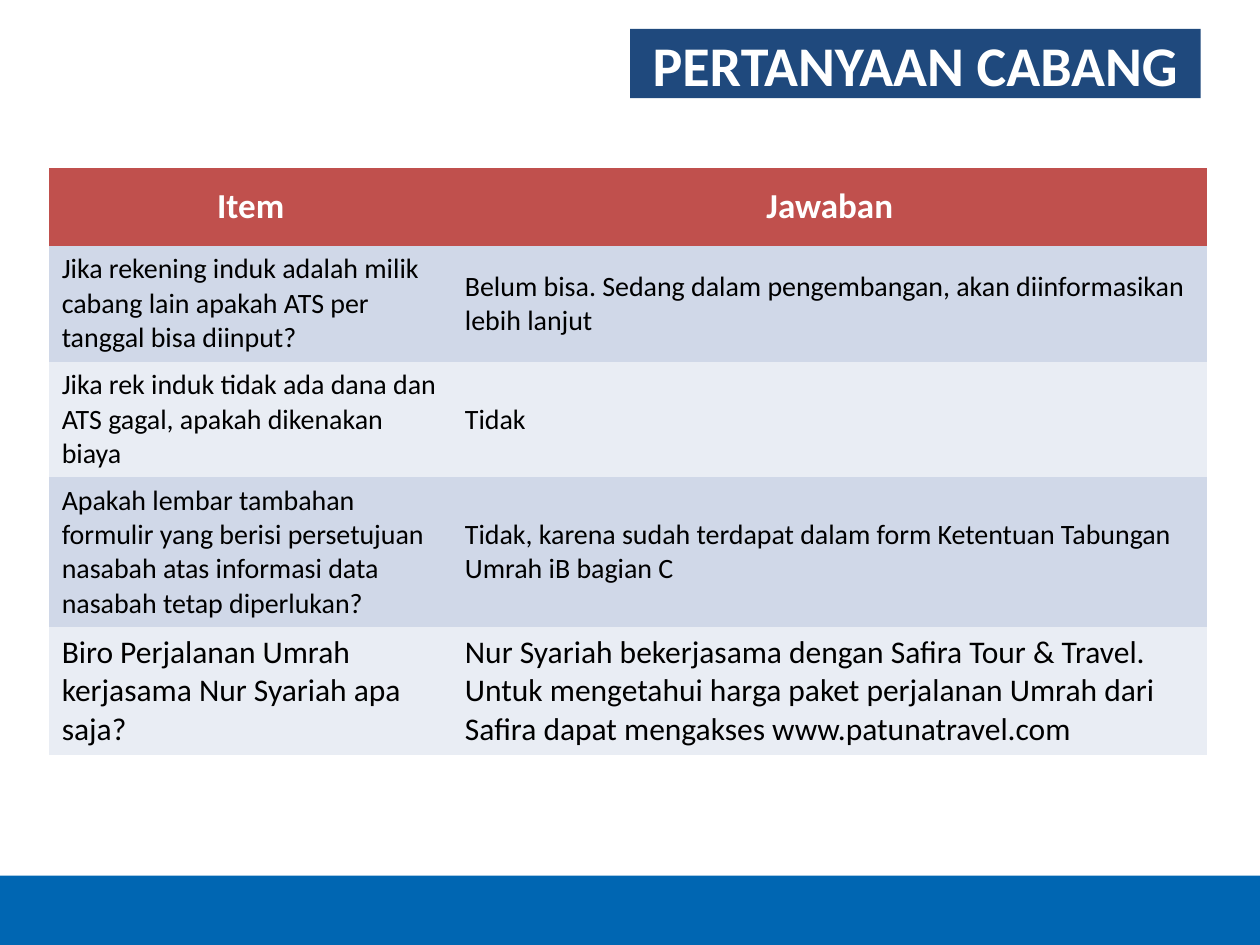
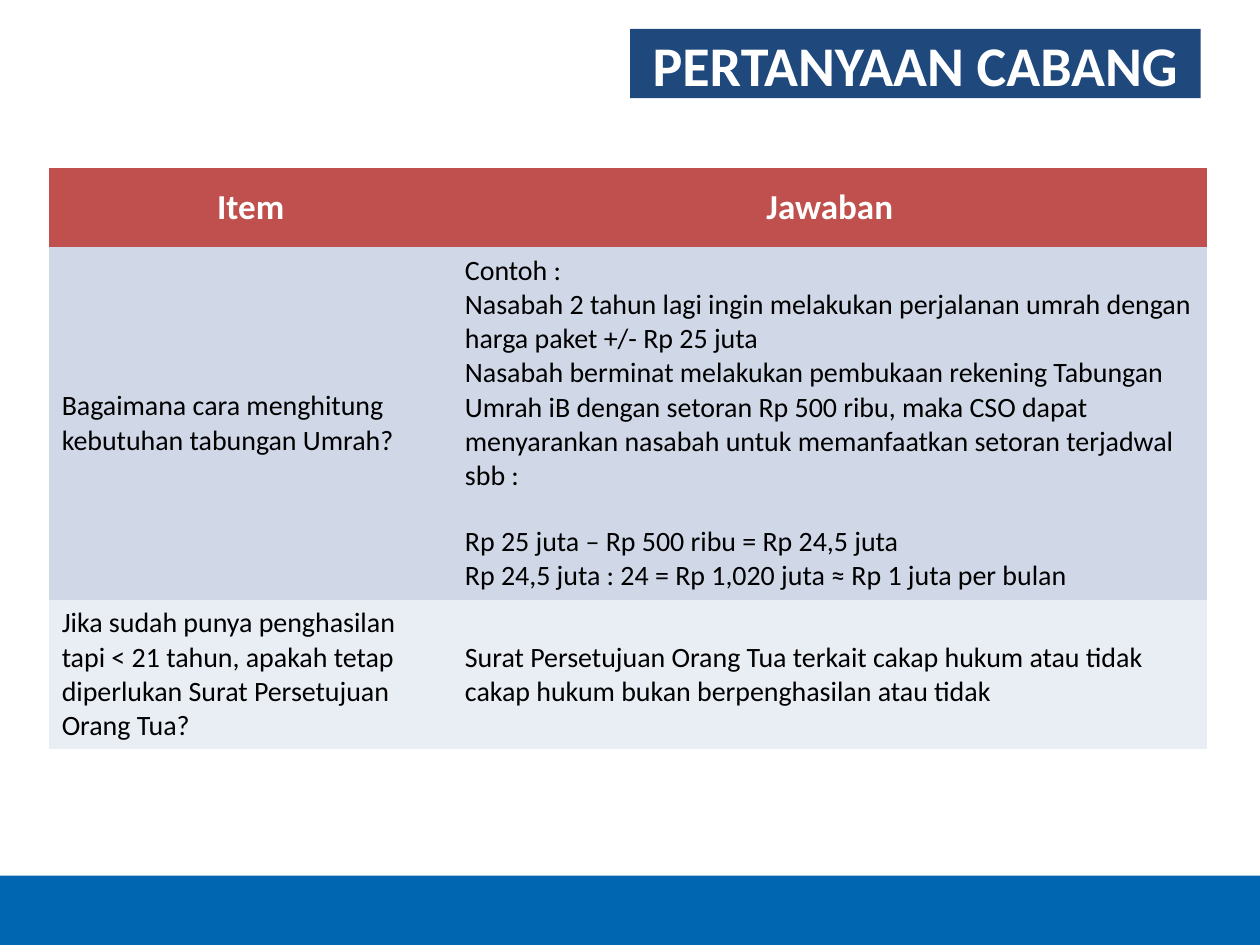
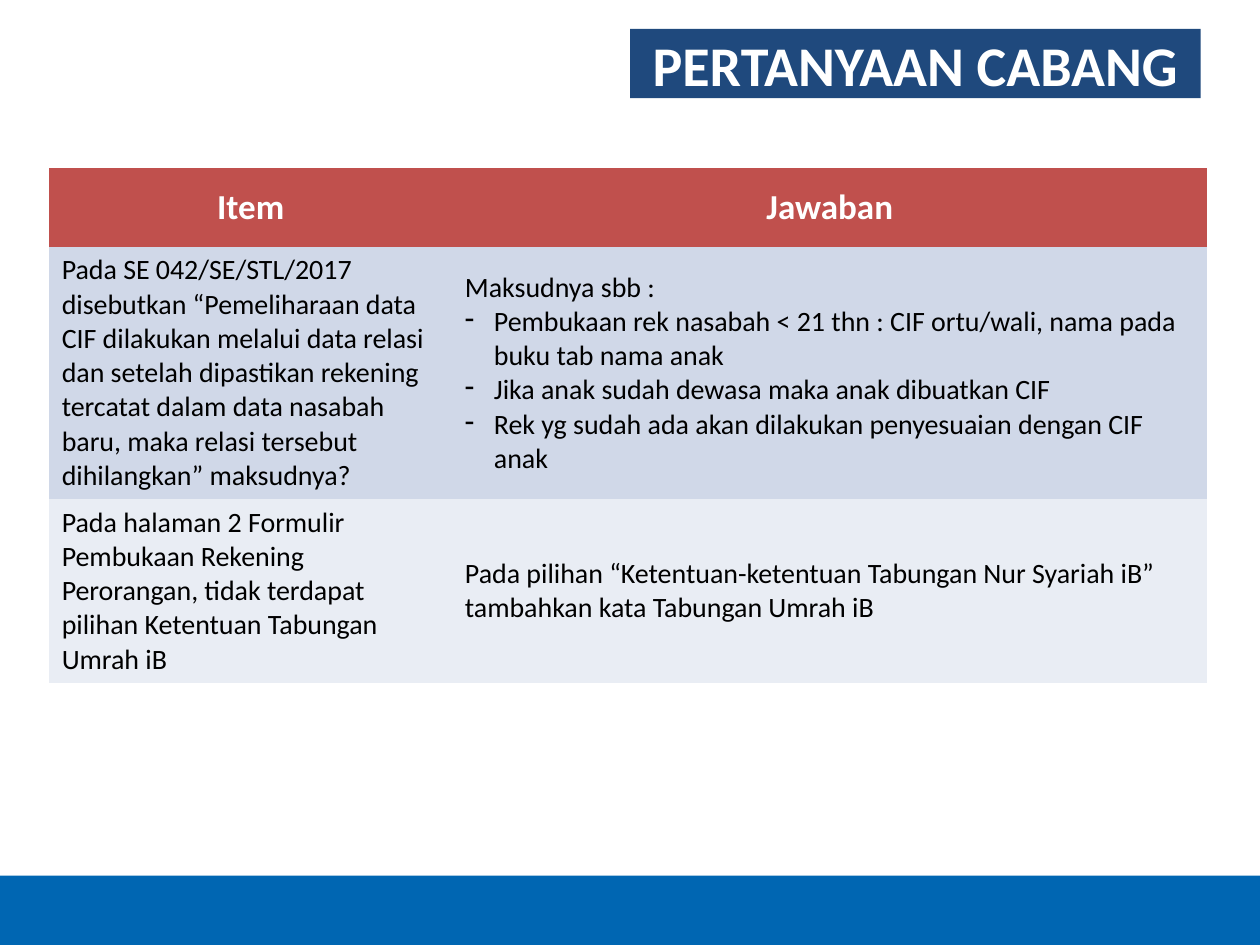
import dataclasses

import pptx
import pptx.dml.color
import pptx.enum.shapes
import pptx.enum.text
import pptx.oxml
import pptx.oxml.ns
import pptx.util
from lxml import etree

Inches = pptx.util.Inches
ALIGN = pptx.enum.text.PP_ALIGN
MIDDLE = pptx.enum.text.MSO_ANCHOR.MIDDLE


@dataclasses.dataclass(frozen=True)
class Theme:
    font: str = "Calibri"
    white: str = "FFFFFF"
    black: str = "000000"
    navy: str = "1F497D"
    blue: str = "0066B2"
    red: str = "C0504D"
    bands: tuple = ("D0D8E8", "E9EDF4")
    title: int = 32
    head: int = 20
    large: int = 18
    body: int = 16


THEME = Theme()
WIDTH, HEIGHT = 10, 7.5
FOOT = 0.55
COLS = (3.2, 5.99)
HEADS = ("Item", "Jawaban")
PLAIN = "{2D5ABB26-0587-4C30-8999-92F81FD0307C}"


@dataclasses.dataclass(frozen=True)
class Para:
    text: str
    dash: bool = False
    gap: int = 0


@dataclasses.dataclass(frozen=True)
class Row:
    """One question; the answer is a string or a list of Para."""
    height: float
    item: str
    answer: object
    size: int = THEME.body


PAGES = [
    (0.62, [
        Row(0.92, "Jika rekening induk adalah milik cabang lain apakah ATS per "
            "tanggal bisa diinput?",
            "Belum bisa. Sedang dalam pengembangan, akan diinformasikan "
            "lebih lanjut"),
        Row(0.92, "Jika rek induk tidak ada dana dan ATS gagal, apakah "
            "dikenakan biaya", "Tidak"),
        Row(1.18, "Apakah lembar tambahan formulir yang berisi persetujuan "
            "nasabah atas informasi data nasabah tetap diperlukan?",
            "Tidak, karena sudah terdapat dalam form Ketentuan Tabungan "
            "Umrah iB bagian C"),
        Row(1, "Biro Perjalanan Umrah kerjasama Nur Syariah apa saja?",
            "Nur Syariah bekerjasama dengan Safira Tour & Travel. Untuk "
            "mengetahui harga paket perjalanan Umrah dari Safira dapat "
            "mengakses www.patunatravel.com", THEME.large),
    ]),
    (0.63, [
        Row(2.8, "Bagaimana cara menghitung kebutuhan tabungan Umrah?", [
            Para("Contoh :"),
            Para("Nasabah 2 tahun lagi ingin melakukan perjalanan umrah "
                 "dengan harga paket +/- Rp 25 juta"),
            Para("Nasabah berminat melakukan pembukaan rekening Tabungan "
                 "Umrah iB dengan setoran Rp 500 ribu, maka CSO dapat "
                 "menyarankan nasabah untuk memanfaatkan setoran terjadwal "
                 "sbb :"),
            Para("Rp 25 juta – Rp 500 ribu = Rp 24,5 juta", gap=18),
            Para("Rp 24,5 juta : 24 = Rp 1,020 juta ≈ Rp 1 juta per bulan"),
        ]),
        Row(1.18, "Jika sudah punya penghasilan tapi < 21 tahun, apakah tetap "
            "diperlukan Surat Persetujuan Orang Tua?",
            "Surat Persetujuan Orang Tua terkait cakap hukum atau tidak "
            "cakap hukum bukan berpenghasilan atau tidak"),
    ]),
    (0.63, [
        Row(2, "Pada SE 042/SE/STL/2017 disebutkan “Pemeliharaan data CIF "
            "dilakukan melalui data relasi dan setelah dipastikan rekening "
            "tercatat dalam data nasabah baru, maka relasi tersebut "
            "dihilangkan” maksudnya?", [
                Para("Maksudnya sbb :"),
                Para("Pembukaan rek nasabah < 21 thn : CIF ortu/wali, nama "
                     "pada buku tab nama anak", dash=True),
                Para("Jika anak sudah dewasa maka anak dibuatkan CIF",
                     dash=True),
                Para("Rek yg sudah ada akan dilakukan penyesuaian dengan "
                     "CIF anak", dash=True),
            ]),
        Row(1.46, "Pada halaman 2 Formulir Pembukaan Rekening Perorangan, "
            "tidak terdapat pilihan Ketentuan Tabungan Umrah iB",
            "Pada pilihan “Ketentuan-ketentuan Tabungan Nur Syariah iB” "
            "tambahkan kata Tabungan Umrah iB"),
    ]),
]


def paint(fill, color):
    fill.solid()
    fill.fore_color.rgb = pptx.dml.color.RGBColor.from_string(color)


def write(para, text, size, color, bold=False):
    run = para.add_run()
    run.text = text
    font = run.font
    font.name, font.size, font.bold = THEME.font, pptx.util.Pt(size), bold
    font.color.rgb = pptx.dml.color.RGBColor.from_string(color)


def add_dash(para):
    props = para._p.get_or_add_pPr()
    props.set("marL", str(Inches(0.23)))
    props.set("indent", str(-Inches(0.23)))
    mark = etree.SubElement(props, pptx.oxml.ns.qn("a:buChar"))
    mark.set("char", "-")


def add_title(slide, text):
    """Turn the title placeholder into a rounded label."""
    title = slide.shapes.title
    title.left, title.top = Inches(5), Inches(0.23)
    title.width, title.height = Inches(4.53), Inches(0.55)
    shape = etree.SubElement(title._element.spPr, pptx.oxml.ns.qn("a:prstGeom"))
    shape.set("prst", "roundRect")
    paint(title.fill, THEME.navy)
    frame = title.text_frame
    frame.auto_size = pptx.enum.text.MSO_AUTO_SIZE.NONE
    frame.word_wrap = True
    frame.vertical_anchor = MIDDLE
    para = frame.paragraphs[0]
    para.alignment = ALIGN.CENTER
    write(para, text, THEME.title, THEME.white, True)


def add_foot(slide):
    band = slide.shapes.add_shape(
        pptx.enum.shapes.MSO_SHAPE.RECTANGLE, 0, Inches(HEIGHT - FOOT),
        Inches(WIDTH), Inches(FOOT))
    band.shadow.inherit = False
    paint(band.fill, THEME.blue)
    band.line.fill.background()


def fill_cell(cell, content, size, fill, color=THEME.black, head=False):
    paint(cell.fill, fill)
    cell.vertical_anchor = MIDDLE
    paras = [Para(content)] if isinstance(content, str) else content
    frame = cell.text_frame
    for num, part in enumerate(paras):
        para = frame.add_paragraph() if num else frame.paragraphs[0]
        para.alignment = ALIGN.CENTER if head else ALIGN.LEFT
        if part.dash:
            add_dash(para)
        if part.gap:
            para.space_before = pptx.util.Pt(part.gap)
        write(para, part.text, size, color, head)


def add_grid(slide, top, rows):
    """Add the question table; top is the height of its head row."""
    tall = top + sum(row.height for row in rows)
    frame = slide.shapes.add_table(
        len(rows) + 1, len(COLS), Inches(0.39), Inches(1.33),
        Inches(sum(COLS)), Inches(tall))
    table = frame.table
    table._tbl.tblPr.find(pptx.oxml.ns.qn("a:tableStyleId")).text = PLAIN
    for col, width in zip(table.columns, COLS):
        col.width = Inches(width)
    table.rows[0].height = Inches(top)
    for col, text in enumerate(HEADS):
        fill_cell(table.cell(0, col), text, THEME.head, THEME.red,
                  THEME.white, True)
    for num, row in enumerate(rows):
        table.rows[num + 1].height = Inches(row.height)
        for col, content in enumerate((row.item, row.answer)):
            fill_cell(table.cell(num + 1, col), content, row.size,
                      THEME.bands[num % 2])


def main():
    deck = pptx.Presentation()
    deck.slide_width, deck.slide_height = Inches(WIDTH), Inches(HEIGHT)
    for top, rows in PAGES:
        slide = deck.slides.add_slide(deck.slide_layouts[5])
        add_foot(slide)
        add_title(slide, "PERTANYAAN CABANG")
        add_grid(slide, top, rows)
    deck.save("out.pptx")


if __name__ == "__main__":
    main()
